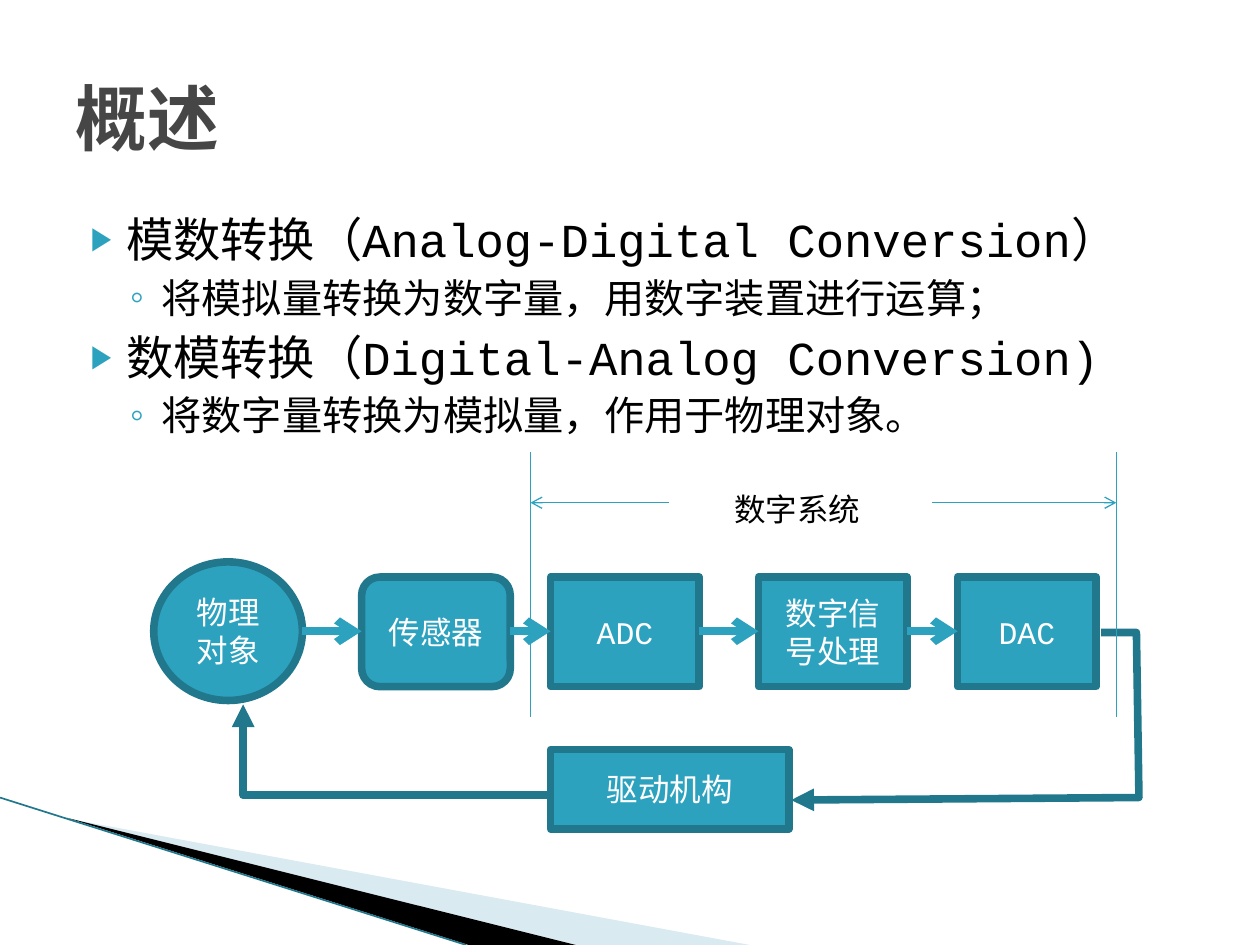
from lxml.etree import SubElement
from pptx import Presentation
from pptx.dml.color import RGBColor
from pptx.enum.shapes import MSO_CONNECTOR as CONN, MSO_SHAPE as SHAPE
from pptx.enum.text import MSO_ANCHOR as ANCHOR, MSO_AUTO_SIZE as FIT, PP_ALIGN as ALIGN
from pptx.oxml.ns import qn
from pptx.util import Inches, Pt

TEAL, DARK, BLACK, WHITE = "2DA2BF", "21788D", "000000", "FFFFFF"
rgb = RGBColor.from_string


def style(p, size, color, bold=False):
    for r in p.runs:
        r.font.name = "Courier New"
        r.font.size = Pt(size)
        r.font.bold = bold
        r.font.color.rgb = rgb(color)


def stroke(s, color, width, tail=None):
    s.line.color.rgb = rgb(color)
    s.line.width = Pt(width)
    if tail:
        ln = s._element.spPr.find(qn("a:ln"))
        SubElement(ln, qn("a:tailEnd"), type=tail)


prs = Presentation()
prs.slide_width, prs.slide_height = Inches(10), Inches(7.5)
slide = prs.slides.add_slide(prs.slide_layouts[1])
shapes = slide.shapes

title, body = shapes.title, slide.placeholders[1]
for s, top, height in [(title, 0.3, 1.25), (body, 1.62, 2.13)]:
    s.left, s.top, s.width, s.height = Inches(0.5), Inches(top), Inches(9), Inches(height)
    s.text_frame.auto_size = FIT.NONE

title.text_frame.text = "概述"
title.text_frame.vertical_anchor = ANCHOR.MIDDLE
p = title.text_frame.paragraphs[0]
p.alignment = ALIGN.LEFT
style(p, 41, "464646", True)

levels = [
    {"size": 27, "before": 4, "left": 0.4, "hang": 0.28, "char": "▶", "scale": 68},
    {"size": 23, "before": 3.2, "left": 0.68, "hang": 0.25, "char": "◦", "scale": 100},
]
items = [
    (0, "模数转换（Analog-Digital Conversion）"),
    (1, "将模拟量转换为数字量，用数字装置进行运算；"),
    (0, "数模转换（Digital-Analog Conversion)"),
    (1, "将数字量转换为模拟量，作用于物理对象。"),
]
tf = body.text_frame
tf.text = "\n".join(text for _, text in items)
for i, (p, (level, _)) in enumerate(zip(tf.paragraphs, items)):
    lv = levels[level]
    p.level = level
    pPr = p._p.get_or_add_pPr()
    pPr.set("marL", str(Inches(lv["left"])))
    pPr.set("indent", str(-Inches(lv["hang"])))
    SubElement(SubElement(pPr, qn("a:buClr")), qn("a:srgbClr"), val=TEAL)
    SubElement(pPr, qn("a:buSzPct"), val=str(lv["scale"] * 1000))
    SubElement(pPr, qn("a:buChar"), char=lv["char"])
    p.space_before = Pt(lv["before"] if i else 0)
    style(p, lv["size"], BLACK)

wedges = [
    ([(0.55, 6.5), (5.95, 7.5), (4.56, 7.5)], "A0CBDC", 40),
    ([(0.53, 6.49), (4.57, 7.5), (3.72, 7.5)], BLACK, 100),
]
feedback = [
    ([(8.74, 5.02), (9.02, 5.02), (9.04, 6.33), (6.28, 6.35)], None, None),
    ([(4.35, 6.31), (1.93, 6.31), (1.93, 5.59)], None, None),
]
for points, color, alpha in wedges + feedback:
    pts = [(Inches(x), Inches(y)) for x, y in points]
    fb = shapes.build_freeform(*pts[0])
    fb.add_line_segments(pts[1:], close=color is not None)
    s = fb.convert_to_shape()
    s.shadow.inherit = False
    if color:
        s.fill.solid()
        s.fill.fore_color.rgb = rgb(color)
        s.line.fill.background()
        clr = s._element.spPr.find(qn("a:solidFill"))[0]
        SubElement(clr, qn("a:alpha"), val=str(alpha * 1000))
    else:
        s.fill.background()
        stroke(s, DARK, 4.33, "triangle")

blocks = [
    ("物理对象", SHAPE.OVAL, 1.22, 4.46, 1.18, 1.1),
    ("传感器", SHAPE.ROUNDED_RECTANGLE, 2.87, 4.58, 1.18, 0.87),
    ("ADC", SHAPE.RECTANGLE, 4.37, 4.58, 1.18, 0.87),
    ("数字信号处理", SHAPE.RECTANGLE, 6.02, 4.58, 1.18, 0.87),
    ("DAC", SHAPE.RECTANGLE, 7.6, 4.58, 1.1, 0.87),
    ("驱动机构", SHAPE.RECTANGLE, 4.37, 5.95, 1.89, 0.63),
]
for text, kind, *box in blocks:
    s = shapes.add_shape(kind, *map(Inches, box))
    s.shadow.inherit = False
    s.fill.solid()
    s.fill.fore_color.rgb = rgb(TEAL)
    stroke(s, DARK, 4.33)
    tf = s.text_frame
    tf.word_wrap = True
    tf.vertical_anchor = ANCHOR.MIDDLE
    tf.text = text
    tf.paragraphs[0].alignment = ALIGN.CENTER
    style(tf.paragraphs[0], 18, WHITE)

chain = blocks[:5]
lines = [(a[2] + a[4], 5.01, b[2], 5.01, TEAL, 4.5, "arrow") for a, b in zip(chain, chain[1:])]
lines += [(x, 3.59, x, 5.69, TEAL, 0.75, None) for x in (4.21, 8.86)]
lines += [(x1, 3.99, x2, 3.99, TEAL, 0.75, "arrow") for x1, x2 in ((5.31, 4.21), (7.4, 8.86))]
lines.append((0, 6.33, 3.7, 7.5, DARK, 0.95, None))
for *ends, color, width, tail in lines:
    s = shapes.add_connector(CONN.STRAIGHT, *map(Inches, ends))
    stroke(s, color, width, tail)
    SubElement(s._element.spPr, qn("a:effectLst"))

s = shapes.add_textbox(Inches(5.73), Inches(3.84), Inches(1.21), Inches(0.4))
tf = s.text_frame
tf.word_wrap = False
tf.auto_size = FIT.SHAPE_TO_FIT_TEXT
tf.text = "数字系统"
style(tf.paragraphs[0], 18, BLACK)

prs.save("out.pptx")
